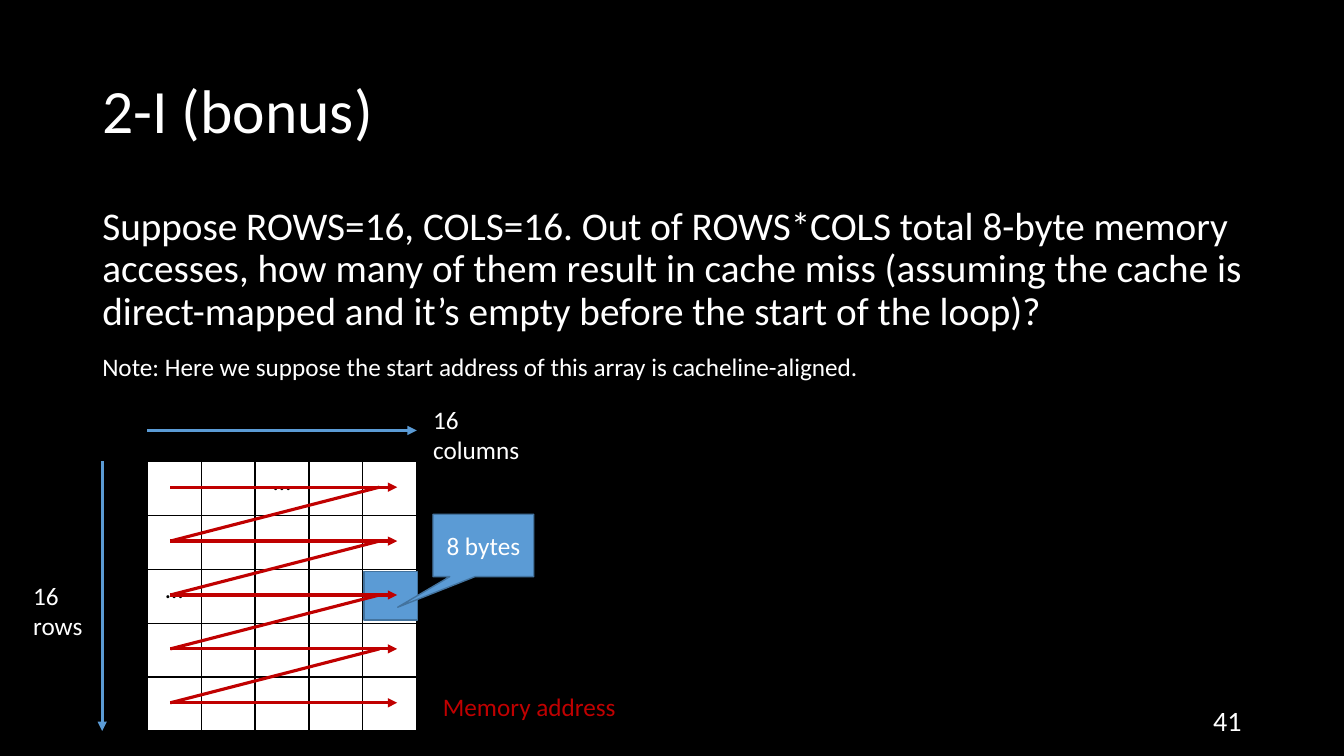
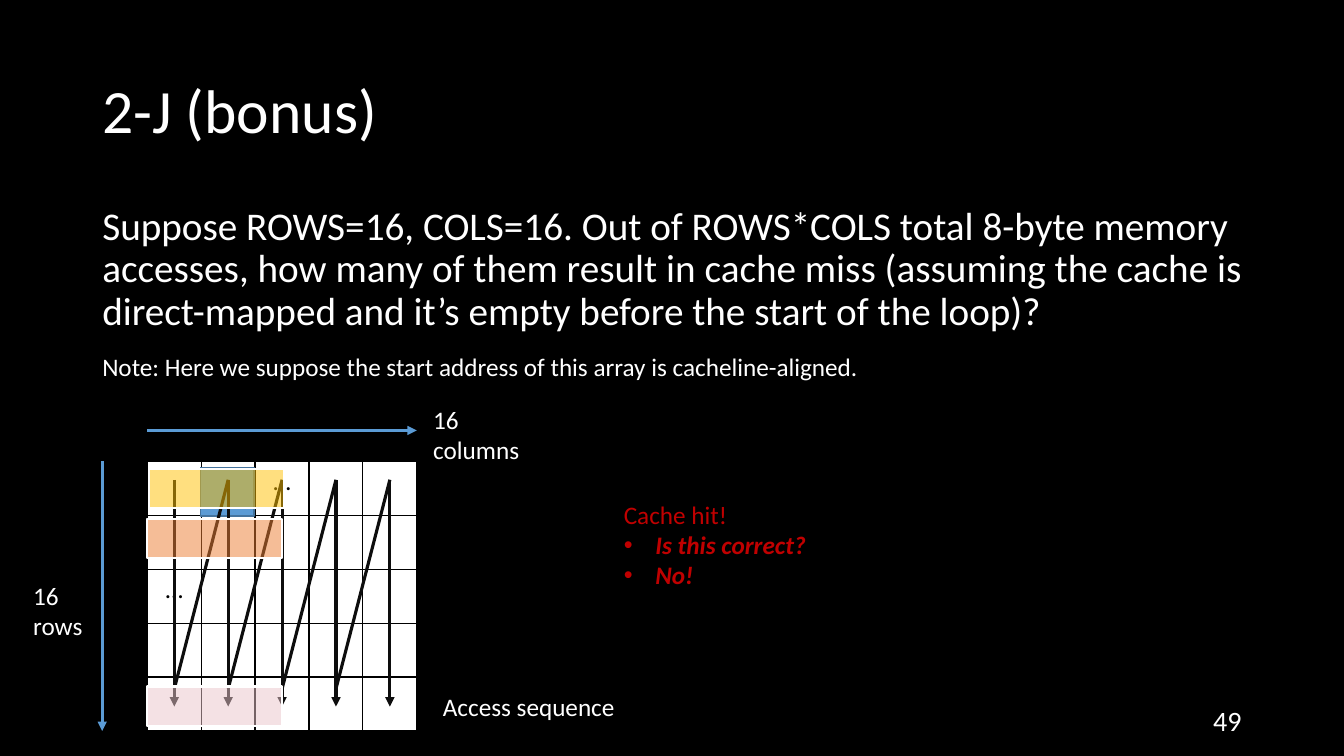
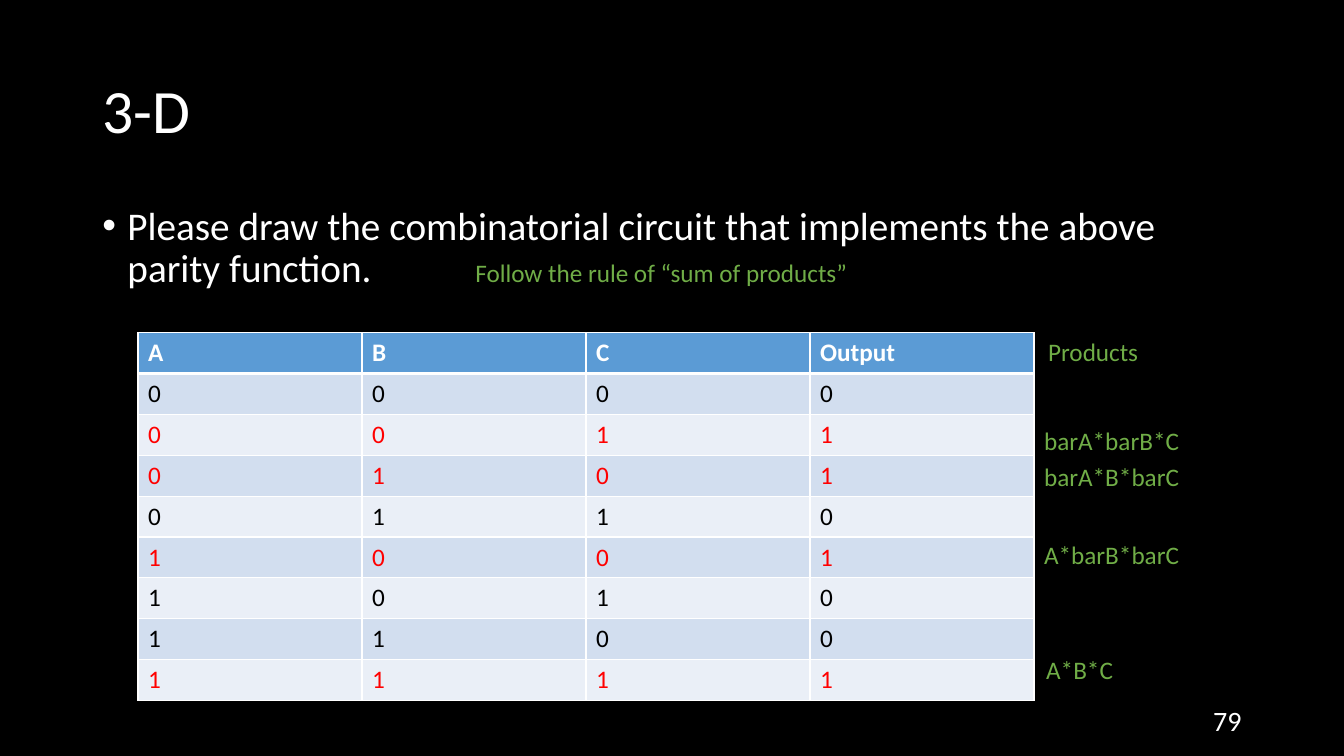
from itertools import product

from lxml import etree
from pptx import Presentation
from pptx import util as u
from pptx.dml.color import RGBColor
from pptx.enum import shapes, text
from pptx.oxml import ns

BLACK = RGBColor(0, 0, 0)
WHITE = RGBColor(0xFF, 0xFF, 0xFF)
INK = RGBColor(0x0D, 0x0D, 0x0D)
BLUE = RGBColor(0x5B, 0x9B, 0xD5)
DARK_BLUE = RGBColor(0x43, 0x73, 0x9E)
DARK_RED = RGBColor(0xC0, 0, 0)
RED = RGBColor(0xFF, 0, 0)
GREEN = RGBColor(0x70, 0xAD, 0x47)
GOLD = RGBColor(0xFF, 0xC0, 0)
ORANGE = RGBColor(0xED, 0x7D, 0x31)
PINK = RGBColor(0xEB, 0xC5, 0xCB)
BANDS = RGBColor(0xEA, 0xEF, 0xF7), RGBColor(0xD2, 0xDE, 0xEF)

FONT = "Calibri"
LEFT, WIDTH = 66, 828
GRID_LEFT, GRID_TOP, CELL, CELLS = 105.2, 329.6, 38.5, 5
GRID_SIDE = CELL * CELLS
QUESTION = (
    "Suppose ROWS=16, COLS=16. Out of ROWS*COLS total 8-byte memory accesses, "
    "how many of them result in cache miss (assuming the cache is direct-mapped "
    "and it’s empty before the start of the loop)?"
)
NOTE = "Note: Here we suppose the start address of this array is cacheline-aligned."


def points(*lengths):
    return [u.Pt(length) for length in lengths]


def add_xml(parent, tag, **attributes):
    return etree.SubElement(parent, ns.qn(tag), attributes)


def write(frame, words, size=18, color=WHITE, bold=False, italic=False,
          align=text.PP_ALIGN.LEFT, spacing=None, bullet_indent=0):
    for line in words.split("\n"):
        para = frame.add_paragraph() if frame.text else frame.paragraphs[0]
        para.alignment = align
        if bullet_indent:
            properties = para._p.get_or_add_pPr()
            properties.set("marL", str(u.Pt(bullet_indent)))
            properties.set("indent", str(-u.Pt(bullet_indent)))
            add_xml(properties, "a:buFont", typeface="Arial")
            add_xml(properties, "a:buChar", char="•")
        if spacing:
            para.line_spacing = spacing
        span = para.add_run()
        span.text = line
        span.font.name = FONT
        span.font.size = u.Pt(size)
        span.font.color.rgb = color
        span.font.bold = bold
        span.font.italic = italic


class Slides:
    def __init__(self):
        self.deck = Presentation()
        self.deck.slide_width, self.deck.slide_height = points(960, 540)
        fill = self.deck.slide_master.background.fill
        fill.solid()
        fill.fore_color.rgb = BLACK
        self.page = None

    def start(self, title, number):
        self.page = self.deck.slides.add_slide(self.deck.slide_layouts[5])
        box = self.page.shapes.title
        box.left, box.top, box.width, box.height = points(LEFT, 28.8, WIDTH, 104.4)
        box.text_frame.auto_size = text.MSO_AUTO_SIZE.NONE
        box.text_frame.vertical_anchor = text.MSO_ANCHOR.MIDDLE
        write(box.text_frame, title, size=44, spacing=0.9)
        frame = self.label(number, 678, 500.4, 216, 28.8, size=20,
                           align=text.PP_ALIGN.RIGHT)
        frame.vertical_anchor = text.MSO_ANCHOR.MIDDLE

    def label(self, words, left, top, width, height=29, **style):
        box = self.page.shapes.add_textbox(*points(left, top, width, height))
        frame = box.text_frame
        frame.word_wrap = True
        write(frame, words, **style)
        return frame

    def body(self, words, height, **style):
        self.label(words, LEFT, 144, WIDTH, height, size=28, spacing=0.9, **style)

    def line(self, start, end, color, arrow=True):
        line = self.page.shapes.add_connector(
            shapes.MSO_CONNECTOR.STRAIGHT, *points(*start, *end))
        line.line.color.rgb = color
        line.line.width = u.Pt(2.25)
        if arrow:
            add_xml(line.line._get_or_add_ln(), "a:tailEnd", type="triangle")
        add_xml(line._element.spPr, "a:effectLst")

    def shape(self, left, top, width, height, fill=BLUE, outline=DARK_BLUE,
              weight=1, alpha=None, kind=shapes.MSO_SHAPE.RECTANGLE):
        shape = self.page.shapes.add_shape(kind, *points(left, top, width, height))
        shape.shadow.inherit = False
        shape.fill.solid()
        shape.fill.fore_color.rgb = fill
        if alpha:
            tint = shape._element.spPr.find(".//" + ns.qn("a:srgbClr"))
            add_xml(tint, "a:alpha", val=str(alpha * 1000))
        shape.line.color.rgb = outline
        shape.line.width = u.Pt(weight)
        return shape

    def callout(self, words, left, top, width, height, tip):
        shape = self.shape(left, top, width, height,
                           kind=shapes.MSO_SHAPE.RECTANGULAR_CALLOUT)
        shape.adjustments[0], shape.adjustments[1] = tip
        shape.text_frame.vertical_anchor = text.MSO_ANCHOR.MIDDLE
        write(shape.text_frame, words, align=text.PP_ALIGN.CENTER)

    def table(self, rows, columns, left, top, column_width, row_height):
        table = self.page.shapes.add_table(
            rows, columns, *points(left, top, column_width * columns,
                                   row_height * rows)).table
        table.first_row = table.horz_banding = False
        for column in table.columns:
            column.width = u.Pt(column_width)
        for row in table.rows:
            row.height = u.Pt(row_height)
        return table

    def cell(self, cell, words, fill, border, bottom=1, **style):
        cell.fill.solid()
        cell.fill.fore_color.rgb = fill
        properties = cell._tc.get_or_add_tcPr()
        for place, side in enumerate("LRTB"):
            weight = bottom if side == "B" else 1
            edge = add_xml(properties, f"a:ln{side}", w=str(u.Pt(weight)))
            add_xml(add_xml(edge, "a:solidFill"), "a:srgbClr", val=str(border))
            properties.insert(place, edge)
        if words:
            write(cell.text_frame, words, **style)

    def array_question(self, title, number):
        self.start(title, number)
        self.body(QUESTION, 155.5)
        self.label(NOTE, LEFT, 247.7, 631)
        table = self.table(CELLS, CELLS, GRID_LEFT, GRID_TOP, CELL, CELL)
        for row, column in product(range(CELLS), repeat=2):
            words = "…" if (row, column) in ((0, 2), (2, 0)) else ""
            self.cell(table.cell(row, column), words, WHITE, BLACK,
                      color=BLACK, align=text.PP_ALIGN.CENTER)
        self.line((73, GRID_TOP), (73, GRID_TOP + GRID_SIDE), BLUE)
        self.label("16 rows", 16.6, 411, 56.2, 51)
        self.line((GRID_LEFT, 307.5), (GRID_LEFT + GRID_SIDE, 307.5), BLUE)
        self.label("16\ncolumns", 302.4, 285, 81.4, 51)

    def sequence(self, strokes, returns, color):
        for start, end in strokes:
            self.line(start, end, color)
        for start, end in returns:
            self.line(start, end, color, arrow=False)


def row_order(slides):
    slides.array_question("2-I (bonus)", "41")
    slides.shape(260, 408.2, 38.2, 34.6)
    slides.callout("8 bytes", 309.3, 367.3, 72, 44.6, (-0.85, 0.99))
    tops = [348 + CELL * row for row in range(CELLS)]
    slides.sequence([((121.7, top), (283.7, top)) for top in tops],
                    [((271, top), (121.7, below))
                     for top, below in zip(tops, tops[1:])], DARK_RED)
    slides.label("Memory address", 309.3, 490.6, 201, color=DARK_RED)


def column_order(slides):
    slides.array_question("2-J (bonus)", "49")
    slides.shape(143.3, 334.1, 38.2, 34.6)
    lefts = [124.5 + CELL * column for column in range(CELLS)]
    slides.sequence([((left, 342.7), (left, 504.7)) for left in lefts],
                    [((left, 492), (after, 342.7))
                     for left, after in zip(lefts, lefts[1:])], INK)
    slides.label("Access sequence", 309.3, 490.6, 201)
    for left, top, color in ((106.5, 335, GOLD), (105.2, 370.8, ORANGE),
                             (105.2, 490.4, PINK)):
        slides.shape(left, top, 96.5, 28, color, WHITE, 1.5, alpha=50)
    frame = slides.label("Cache hit!", 438.5, 353, 201, 72.7, color=DARK_RED)
    write(frame, "Is this correct?\nNo!", color=DARK_RED, bold=True, italic=True,
          bullet_indent=22.5)


def parity_table(slides):
    slides.start("3-D", "79")
    slides.body("Please draw the combinatorial circuit that implements the above "
                "parity function.", 342.7, bullet_indent=18)
    table = slides.table(9, 4, 98.6, 237.6, 160, 29.2)
    for column, name in enumerate(("A", "B", "C", "Output")):
        slides.cell(table.cell(0, column), name, BLUE, WHITE, bottom=3, bold=True)
    for row, bits in enumerate(product((0, 1), repeat=3), start=1):
        parity = sum(bits) % 2
        for column, value in enumerate((*bits, parity)):
            slides.cell(table.cell(row, column), str(value), BANDS[row % 2], WHITE,
                        color=RED if parity else BLACK)
    for words, left, top in (("barA*barB*C", 738.7, 300.2),
                             ("barA*B*barC", 738.7, 326.2),
                             ("A*barB*barC", 738.7, 381.6),
                             ("A*B*C", 740.2, 463.7),
                             ("Products", 741.6, 236.9)):
        slides.label(words, left, top, 130, color=GREEN)
    slides.label("Follow the rule of “sum of products”", 332.4, 180, 300, color=GREEN)


def main():
    slides = Slides()
    row_order(slides)
    column_order(slides)
    parity_table(slides)
    slides.deck.save("out.pptx")


if __name__ == "__main__":
    main()
